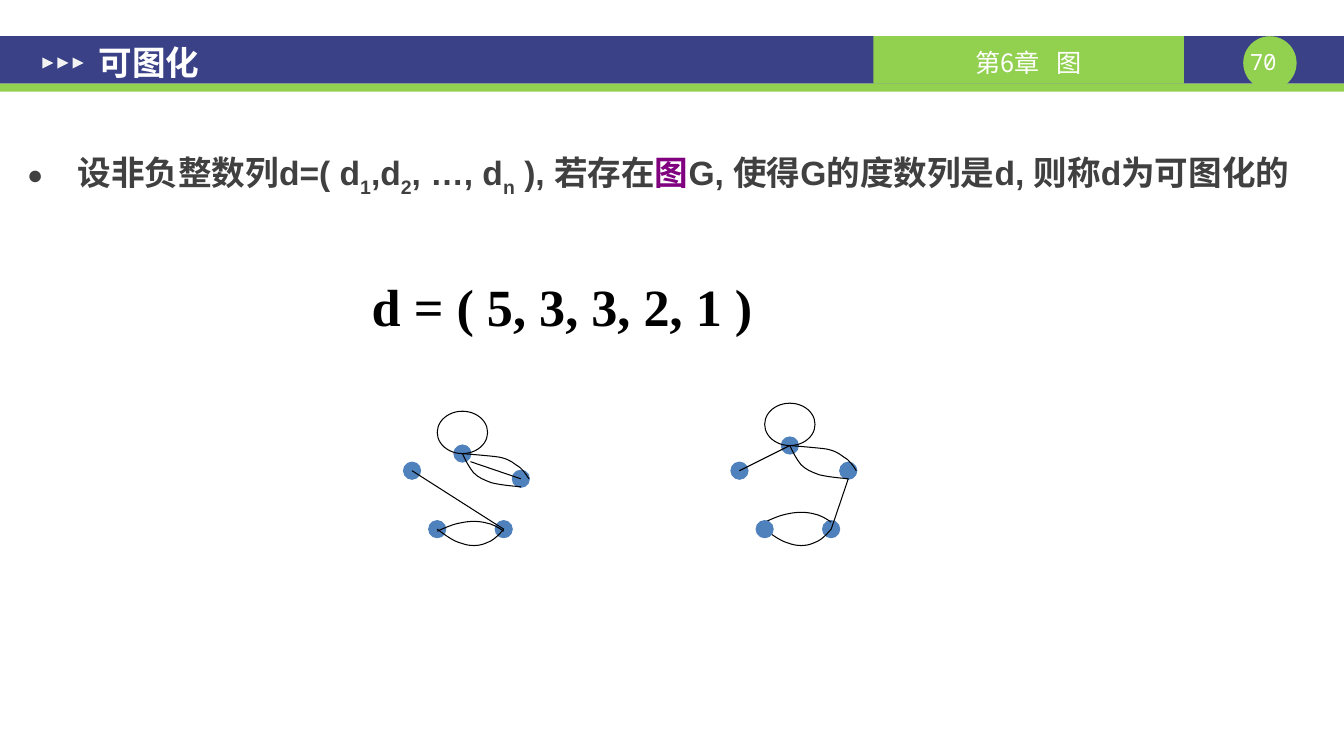
from lxml import etree
from pptx import Presentation
from pptx.dml.color import RGBColor
from pptx.enum.shapes import MSO_CONNECTOR, MSO_SHAPE
from pptx.enum.text import MSO_ANCHOR, PP_ALIGN
from pptx.oxml.ns import qn
from pptx.util import Inches, Pt

RECT, OVAL, TRIANGLE = MSO_SHAPE.RECTANGLE, MSO_SHAPE.OVAL, MSO_SHAPE.ISOSCELES_TRIANGLE
STRAIGHT = MSO_CONNECTOR.STRAIGHT
LEFT, CENTER, JUSTIFY = PP_ALIGN.LEFT, PP_ALIGN.CENTER, PP_ALIGN.JUSTIFY
TOP, MIDDLE = MSO_ANCHOR.TOP, MSO_ANCHOR.MIDDLE
CJK = "Noto Sans CJK SC"
COLORS = {name: RGBColor.from_string(value) for name, value in {
    "navy": "3A4187", "green": "92D050", "white": "FFFFFF", "pale": "F2F2F2",
    "grey": "404040", "purple": "800080", "black": "000000", "vertex": "4F81BD",
}.items()}

deck = Presentation()
deck.slide_width, deck.slide_height = Inches(13.34), Inches(7.5)
page = deck.slides.add_slide(deck.slide_layouts[6])


def add_shape(kind, left, top, width, height, fill=None, line=None):
    shape = page.shapes.add_shape(
        kind, Inches(left), Inches(top), Inches(width), Inches(height))
    shape.shadow.inherit = False
    if fill:
        shape.fill.solid()
        shape.fill.fore_color.rgb = COLORS[fill]
    else:
        shape.fill.background()
    if line:
        shape.line.color.rgb = COLORS[line]
        shape.line.width = Pt(0.75)
    else:
        shape.line.fill.background()
    return shape


def write(box, spans, size, font="Arial", color="white", bold=False, align=LEFT,
          anchor=TOP, insets=(0.13, 0.07, 0.13, 0.07), spacing=None, before=0,
          margin=0, indent=0, bullet=None):
    """Fill a box with one paragraph; spans are (text, baseline, color or None)."""
    frame = box.text_frame
    frame.word_wrap = True
    frame.vertical_anchor = anchor
    (frame.margin_left, frame.margin_top,
     frame.margin_right, frame.margin_bottom) = map(Inches, insets)
    para = frame.paragraphs[0]
    para.alignment = align
    para.line_spacing = spacing
    para.space_before = Pt(before)
    properties = para._p.get_or_add_pPr()
    properties.set("marL", str(Inches(margin)))
    properties.set("indent", str(Inches(indent)))
    if bullet:
        etree.SubElement(properties, qn("a:buSzPct"), val="80000")
        etree.SubElement(properties, qn("a:buFont"), typeface="Arial")
        etree.SubElement(properties, qn("a:buChar"), char=bullet)
    for text, baseline, span_color in spans:
        span = para.add_run()
        span.text = text
        span.font.name, span.font.size, span.font.bold = font, Pt(size), bold
        span.font.color.rgb = COLORS[span_color or color]
        run_properties = span._r.get_or_add_rPr()
        etree.SubElement(run_properties, qn("a:ea"), typeface=CJK)
        if baseline:
            run_properties.set("baseline", str(baseline * 1000))


# Header band
add_shape(RECT, 0, 0.36, 13.34, 0.47, "navy")
add_shape(RECT, 0, 0.83, 13.34, 0.08, "green")
add_shape(OVAL, 12.34, 0.36, 0.53, 0.53, "green")
page_number = page.shapes.add_textbox(Inches(12.34), Inches(0.48), Inches(0.53), Inches(0.27))
write(page_number, [("70 ", 0, None)], 16, font="Noto Sans Mono", align=CENTER,
      insets=(0, 0, 0, 0))
chapter = add_shape(RECT, 8.67, 0.36, 3.08, 0.47, "green")
write(chapter, [("第6章   图", 0, None)], 18, font=CJK, align=CENTER, anchor=MIDDLE,
      insets=(0.1, 0.04, 0.1, 0))
for index in range(3):
    add_shape(TRIANGLE, 0.42 + 0.15 * index, 0.57, 0.11, 0.11, "pale").rotation = 90
title = page.shapes.add_textbox(Inches(0.85), Inches(0.38), Inches(5.83), Inches(0.47))
write(title, [("可图化", 0, None)], 24, bold=True, anchor=MIDDLE)

# Definition and example sequence
definition = page.shapes.add_textbox(Inches(0.14), Inches(1.35), Inches(12.94), Inches(1.02))
write(definition, [
    ("设非负整数列d=( d", 0, None), ("1", -25, None), (",d", 0, None), ("2", -25, None),
    (", …, d", 0, None), ("n", -25, None), (" ), 若存在", 0, None), ("图", 0, "purple"),
    ("G, 使得G的度数列是d, 则称d为可图化的", 0, None),
], 24, color="grey", bold=True, spacing=1.2, before=4.8, margin=0.5, indent=-0.5, bullet="●")
sequence = page.shapes.add_textbox(Inches(2.69), Inches(2.53), Inches(9), Inches(0.82))
write(sequence, [("d = ( 5, 3, 3, 2, 1 )", 0, None)], 37.3, font="Times New Roman",
      color="black", bold=True, align=JUSTIFY, spacing=1.2, before=6, indent=0.87)

# Bézier control points, relative to where each curve is anchored
LOWER_EDGE = [(0, 0), (0.03, 0.07), (0.07, 0.14), (0.11, 0.19), (0.16, 0.24),
              (0.21, 0.26), (0.29, 0.29), (0.37, 0.31), (0.47, 0.32), (0.58, 0.33)]
UPPER_EDGE = [(0.66, 0.25), (0.63, 0.2), (0.59, 0.14), (0.53, 0.11), (0.48, 0.07),
              (0.42, 0.04), (0.33, 0.03), (0.24, 0.02), (0.12, 0.01), (0, 0)]
SAG = [(0, 0), (0.08, 0.06), (0.16, 0.12), (0.24, 0.14), (0.32, 0.17),
       (0.41, 0.17), (0.48, 0.14), (0.55, 0.12), (0.61, 0.06), (0.66, 0)]
ARCH = [(x, -0.6 * y) for x, y in SAG]
DOT = 0.17

# The two graphs: apex is the vertex with the loop, base the lower left vertex
graphs = [
    {"apex": (7.84, 4.42), "base": (7.59, 5.25), "arch_top": 5.18, "base_in_front": True,
     "vertices": [(7.34, 4.67), (7.84, 4.42), (8.42, 4.67), (8.25, 5.25)],
     "edges": [(8.25, 5.25, 8.42, 4.75), (7.34, 4.67, 7.84, 4.42)]},
    {"apex": (4.59, 4.5), "base": (4.34, 5.25), "arch_top": 5.27, "base_in_front": False,
     "vertices": [(4.09, 4.67), (4.59, 4.5), (5.17, 4.75), (5, 5.25)],
     "edges": [(4.67, 4.58, 5.17, 4.75), (4.09, 4.67, 5, 5.25)]},
]
for graph in graphs:
    apex, base = graph["apex"], graph["base"]
    behind, front = list(graph["vertices"]), []
    (front if graph["base_in_front"] else behind).append(base)

    for x, y in behind:
        add_shape(OVAL, x - DOT / 2, y - DOT / 2, DOT, DOT, "vertex", "vertex")

    for ends in graph["edges"]:
        edge = page.shapes.add_connector(STRAIGHT, *map(Inches, ends))
        edge.line.color.rgb = COLORS["black"]
        edge.line.width = Pt(0.75)
        etree.SubElement(edge._element.spPr, qn("a:effectLst"))

    add_shape(OVAL, apex[0] - 0.25, apex[1] - 0.42, 0.5, 0.42, line="black")

    # Curved edges: every three straight steps become one cubic segment
    for controls, (left, top) in [(ARCH, (base[0], graph["arch_top"])), (SAG, base),
                                  (LOWER_EDGE, apex), (UPPER_EDGE, apex)]:
        points = [(Inches(left + x), Inches(top + y)) for x, y in controls]
        builder = page.shapes.build_freeform(*points[0])
        builder.add_line_segments(points[1:], close=False)
        curve = builder.convert_to_shape()
        steps = list(curve._element.iter(qn("a:lnTo")))
        outline = steps[0].getparent()
        for first in range(0, len(steps), 3):
            segment = etree.SubElement(outline, qn("a:cubicBezTo"))
            for step in steps[first:first + 3]:
                segment.append(step[0])
                outline.remove(step)
        curve.shadow.inherit = False
        curve.fill.background()
        curve.line.color.rgb = COLORS["black"]
        curve.line.width = Pt(0.75)

    for x, y in front:
        add_shape(OVAL, x - DOT / 2, y - DOT / 2, DOT, DOT, "vertex", "vertex")

deck.save("out.pptx")
